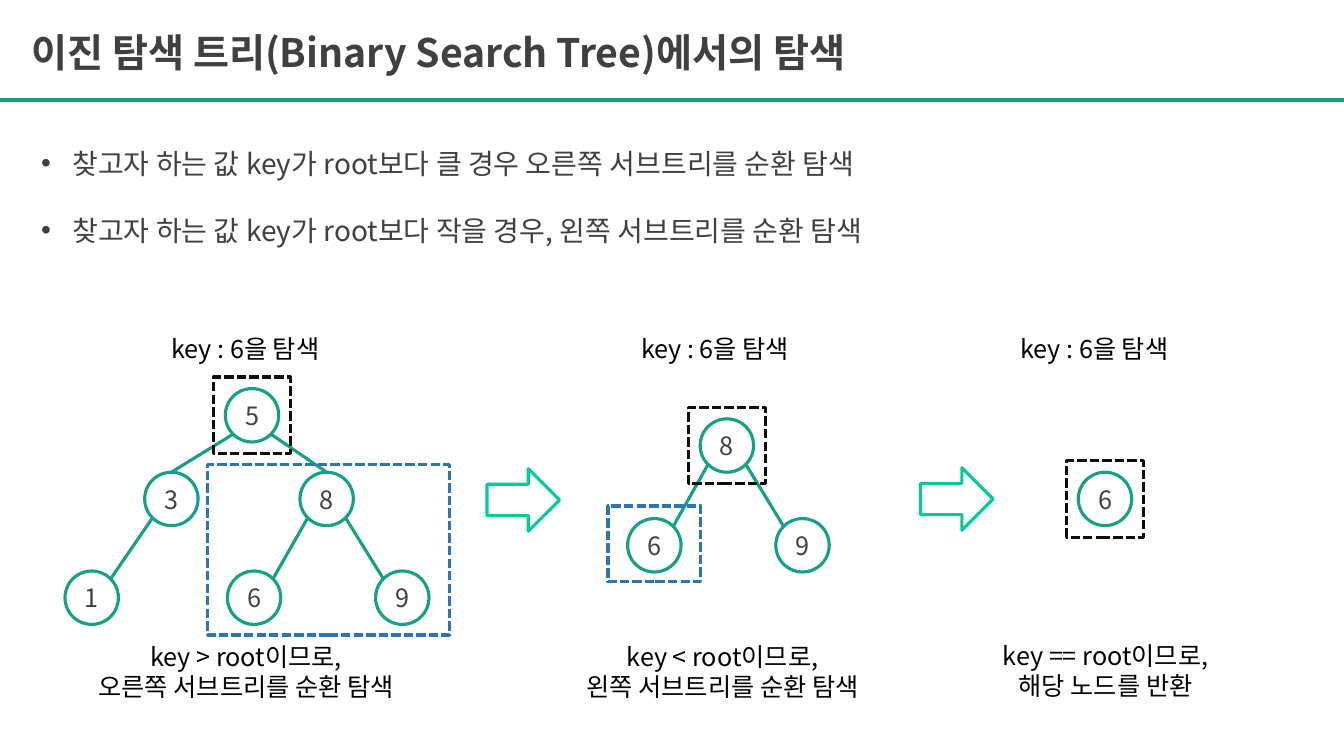
from dataclasses import dataclass
from math import sqrt

from pptx import Presentation
from pptx import util as u
from pptx.dml.color import RGBColor
from pptx.enum import dml, shapes, text
from pptx.oxml.ns import qn
from pptx.shapes.base import BaseShape
from pptx.slide import Slide
from pptx.text.text import TextFrame, _Paragraph

FONT = "Noto Sans CJK KR"
GREEN = RGBColor(0x16, 0xA0, 0x85)
MINT = RGBColor(0x00, 0xCC, 0x99)
BLUE = RGBColor(0x2E, 0x75, 0xB6)
INK = RGBColor(0x0D, 0x0D, 0x0D)
GRAY = RGBColor(0x40, 0x40, 0x40)
BLACK = RGBColor(0, 0, 0)

NODE = 0.53
ROOT_BOX = 0.76
CORNER = NODE / 2 / sqrt(2)  # offset of a diagonal point on a node's rim
HEADING = "key : 6을 탐색"
RULES = [
    "찾고자 하는 값 key가 root보다 클 경우 오른쪽 서브트리를 순환 탐색",
    "찾고자 하는 값 key가 root보다 작을 경우, 왼쪽 서브트리를 순환 탐색",
]

Box = tuple[float, float, float, float]


@dataclass
class Node:
    """A tree node: its key, centre and children."""
    key: str
    x: float
    y: float
    children: tuple["Node", ...] = ()
    joins_at_top: bool = False


@dataclass
class Step:
    """One step of the search: tree, heading, conclusion and next subtree."""
    root: Node
    heading_left: float
    conclusion: list[str]
    conclusion_box: Box
    next_subtree: Box | None = None


STEPS = [
    Step(Node("5", 2.5, 4.12, (
            Node("3", 1.7, 4.95, (Node("1", 0.91, 5.93),), True),
            Node("8", 3.24, 4.95, (Node("6", 2.52, 5.93), Node("9", 3.99, 5.93)), True))),
         1.6, ["key > root이므로,", "오른쪽 서브트리를 순환 탐색"],
         (0.69, 6.31, 3.5, 0.71), (2.06, 4.61, 2.4, 1.69)),
    Step(Node("8", 7.21, 4.42, (Node("6", 6.49, 5.41), Node("9", 7.96, 5.41))),
         6.26, ["key < root이므로,", "왼쪽 서브트리를 순환 탐색"],
         (5.54, 6.31, 3.25, 0.71), (6.03, 5.02, 0.92, 0.75)),
    Step(Node("6", 10.96, 4.95),
         10.02, ["key == root이므로,", "해당 노드를 반환"],
         (9.72, 6.3, 2.49, 0.71)),
]
NEXT_ARROWS = [(4.83, 4.65, 0.72, 0.62), (9.13, 4.64, 0.72, 0.62)]


def apply(target: object, **values: object) -> None:
    """Set each given attribute on the target."""
    for name, value in values.items():
        setattr(target, name, value)


def inches(box: Box) -> list[u.Length]:
    """Turn a box of numbers into lengths."""
    return [u.Inches(value) for value in box]


def write(frame: TextFrame, lines: list[str], size: float, color: RGBColor,
          align: text.PP_ALIGN, bold: bool = False) -> list[_Paragraph]:
    """Fill a text frame with one paragraph per line."""
    frame.text = "\n".join(lines)
    for paragraph in frame.paragraphs:
        paragraph.alignment = align
        for run in paragraph.runs:
            apply(run.font, size=u.Pt(size), bold=bold, name=FONT)
            run.font.color.rgb = color
            east_asian = run.font._element.makeelement(qn("a:ea"), {"typeface": FONT})
            run.font._element.find(qn("a:latin")).addnext(east_asian)
    return list(frame.paragraphs)


def add_label(slide: Slide, lines: list[str], box: Box, align: text.PP_ALIGN) -> None:
    """Add an unwrapped black label."""
    frame = slide.shapes.add_textbox(*inches(box)).text_frame
    frame.word_wrap = False
    write(frame, lines, 18, BLACK, align)


def add_outline(slide: Slide, kind: shapes.MSO_SHAPE, box: Box, color: RGBColor,
                dashed: bool = False) -> BaseShape:
    """Add an unfilled shape with a coloured outline."""
    outline = slide.shapes.add_shape(kind, *inches(box))
    outline.shadow.inherit = False
    outline.fill.background()
    outline.line.color.rgb = color
    outline.line.width = u.Pt(2.25)
    if dashed:
        outline.line.dash_style = dml.MSO_LINE.SQUARE_DOT
    return outline


def add_line(slide: Slide, start: tuple[float, float], end: tuple[float, float],
             width: float) -> None:
    """Add a straight green line without a shadow."""
    line = slide.shapes.add_connector(shapes.MSO_CONNECTOR.STRAIGHT, *inches(start + end))
    line.line.color.rgb = GREEN
    line.line.width = u.Pt(width)
    properties = line._element.spPr
    properties.append(properties.makeelement(qn("a:effectLst"), {}))


def add_tree(slide: Slide, node: Node) -> None:
    """Draw a node, its edges and, in turn, its children."""
    box = (node.x - NODE / 2, node.y - NODE / 2, NODE, NODE)
    frame = add_outline(slide, shapes.MSO_SHAPE.OVAL, box, GREEN).text_frame
    frame.vertical_anchor = text.MSO_ANCHOR.MIDDLE
    write(frame, [node.key], 18, GRAY, text.PP_ALIGN.CENTER)
    for child in node.children:
        side = CORNER if child.x > node.x else -CORNER
        end = ((child.x, child.y - NODE / 2) if child.joins_at_top
               else (child.x - side, child.y - CORNER))
        add_line(slide, (node.x + side, node.y + CORNER), end, 2.25)
        add_tree(slide, child)


def add_step(slide: Slide, step: Step) -> None:
    """Draw one search step with its labels and dashed frames."""
    root = step.root
    add_tree(slide, root)
    add_label(slide, [HEADING], (step.heading_left, 3.26, 1.8, 0.4), text.PP_ALIGN.LEFT)
    add_label(slide, step.conclusion, step.conclusion_box, text.PP_ALIGN.CENTER)
    root_box = (root.x - ROOT_BOX / 2, root.y - ROOT_BOX / 2, ROOT_BOX, ROOT_BOX)
    add_outline(slide, shapes.MSO_SHAPE.RECTANGLE, root_box, INK, dashed=True)
    if step.next_subtree:
        add_outline(slide, shapes.MSO_SHAPE.RECTANGLE, step.next_subtree, BLUE, dashed=True)


def add_rules(slide: Slide) -> None:
    """Add the bulleted search rules."""
    frame = slide.shapes.add_textbox(*inches((0.31, 1.4, 11.42, 1.11))).text_frame
    frame.word_wrap = True
    for index, rule in enumerate(write(frame, RULES, 20, GRAY, text.PP_ALIGN.LEFT)):
        rule.space_before = u.Pt(24 * index)
        layout = rule._element.get_or_add_pPr()
        layout.set("marL", str(u.Inches(0.31)))
        layout.set("indent", str(-u.Inches(0.31)))
        layout.append(layout.makeelement(qn("a:buFont"), {"typeface": "Arial"}))
        layout.append(layout.makeelement(qn("a:buChar"), {"char": "•"}))


def add_title(slide: Slide) -> None:
    """Place the title and the rule below it."""
    title = slide.shapes.title
    left, top, width, height = inches((0.21, 0.23, 10.15, 0.57))
    apply(title, left=left, top=top, width=width, height=height)
    apply(title.text_frame, vertical_anchor=text.MSO_ANCHOR.TOP, word_wrap=True,
          auto_size=text.MSO_AUTO_SIZE.NONE)
    write(title.text_frame, ["이진 탐색 트리(Binary Search Tree)에서의 탐색"], 28, GRAY,
          text.PP_ALIGN.LEFT, bold=True)
    add_line(slide, (0, 0.99), (13.33, 0.99), 3)


def main() -> None:
    """Build and save the slide."""
    deck = Presentation()
    apply(deck, slide_width=u.Inches(13.33), slide_height=u.Inches(7.5))
    slide = deck.slides.add_slide(deck.slide_layouts[5])
    add_title(slide)
    add_rules(slide)
    for step in STEPS:
        add_step(slide, step)
    for arrow in NEXT_ARROWS:
        add_outline(slide, shapes.MSO_SHAPE.RIGHT_ARROW, arrow, MINT)
    deck.save("out.pptx")


main()
